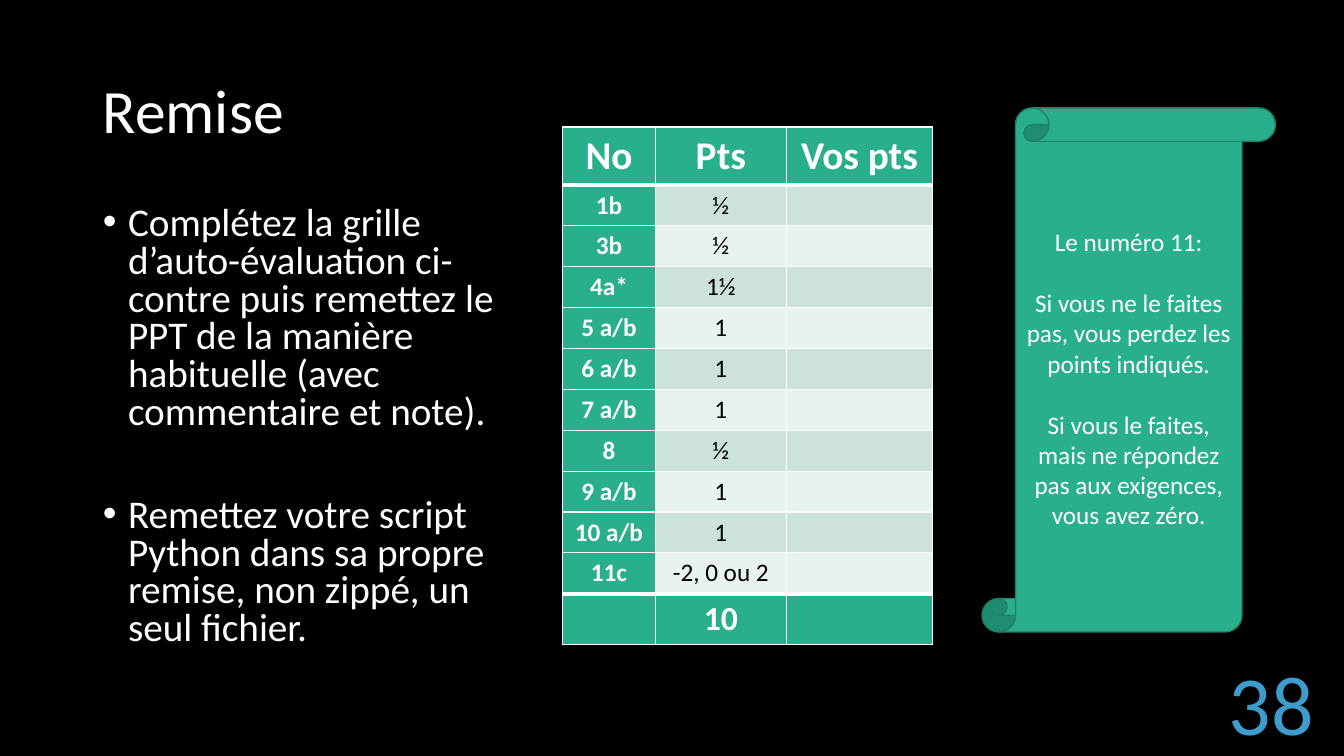
from lxml import etree
from pptx import Presentation, util as u
from pptx.dml.color import RGBColor
from pptx.enum import shapes, text
from pptx.oxml.ns import qn

WIDTH, HEIGHT = u.Inches(13.33), u.Inches(7.5)
FONT = "Calibri"
WHITE, BLACK, GREEN = "FFFFFF", "000000", "29AF8C"
BANDS = ("CDE3DA", "E8F2EE")
LEFT, CENTER, RIGHT = text.PP_ALIGN.LEFT, text.PP_ALIGN.CENTER, text.PP_ALIGN.RIGHT
MIDDLE = text.MSO_ANCHOR.MIDDLE

TASKS = ["Complétez la grille d’auto-évaluation ci-contre puis remettez le PPT "
         "de la manière habituelle (avec commentaire et note).",
         "Remettez votre script Python dans sa propre remise, non zippé, un seul fichier."]
WARNING = ["Le numéro 11:",
           "Si vous ne le faites pas, vous perdez les points indiqués.",
           "Si vous le faites, mais ne répondez pas aux exigences, vous avez zéro."]
GRADES = [("No", "Pts", "Vos pts"), ("1b", "½", ""), ("3b", "½", ""), ("4a*", "1½", ""),
          ("5 a/b", "1", ""), ("6 a/b", "1", ""), ("7 a/b", "1", ""), ("8", "½", ""),
          ("9 a/b", "1", ""), ("10 a/b", "1", ""), ("11c", "-2, 0 ou 2", ""), ("", "10", "")]
TOTAL = len(GRADES) - 1
COLUMN_SHARES = (6.9, 9.75, 10.88)
HEADER_SHARE, ROW_SHARE, TOTAL_SHARE = 7.67, 5.41, 6.7


def paint(fmt, color):
    """Apply a solid hex colour to a fill."""
    fmt.solid()
    fmt.fore_color.rgb = RGBColor.from_string(color)


def box(x, y, w, h):
    """Turn percentages of the slide into left, top, width, height."""
    return [round(size * share / 100) for size, share in
            ((WIDTH, x), (HEIGHT, y), (WIDTH, w), (HEIGHT, h))]


def place(sp, *shares):
    sp.left, sp.top, sp.width, sp.height = box(*shares)


def write(tf, lines, size, color=WHITE, align=LEFT, anchor=None, bold=False, gap=0):
    """Fill a text frame, one paragraph per line, with gap points between them."""
    tf.word_wrap = True
    tf.auto_size = text.MSO_AUTO_SIZE.NONE
    if anchor is not None:
        tf.vertical_anchor = anchor
    for i, line in enumerate(lines):
        p = tf.paragraphs[0] if i == 0 else tf.add_paragraph()
        p.text, p.alignment = line, align
        p.space_before = u.Pt(gap if i else 0)
        p.font.name, p.font.size, p.font.bold = FONT, u.Pt(size), bold
        p.font.color.rgb = RGBColor.from_string(color)


def add_title(s):
    sp = s.shapes.title
    place(sp, 6.9, 5.33, 86.27, 19.33)
    write(sp.text_frame, ["Remise"], 44, anchor=MIDDLE)
    sp.text_frame.paragraphs[0].line_spacing = 0.9


def add_tasks(s):
    sp = s.placeholders[1]
    place(sp, 6.9, 26.67, 31.36, 64.27)
    write(sp.text_frame, TASKS, 28, gap=47)
    sp.text_frame.paragraphs[0].space_before = u.Pt(10)
    for p in sp.text_frame.paragraphs:
        p.line_spacing = 0.8
        pPr = p._p.get_or_add_pPr()
        pPr.set("marL", str(u.Inches(0.25)))
        pPr.set("indent", str(-u.Inches(0.25)))


def add_number(s):
    sp = s.shapes.add_textbox(*box(70.67, 87.73, 27.83, 10.27))
    write(sp.text_frame, ["38"], 60, "3D9CCC", RIGHT, MIDDLE)


def border(cell, row):
    """Draw white borders, heavier under the header and above the total."""
    tcPr = cell._tc.get_or_add_tcPr()
    widths = (1, 1, 3 if row in (1, TOTAL) else 1, 3 if row + 1 in (1, TOTAL) else 1)
    for i, (side, width) in enumerate(zip("LRTB", widths)):
        ln = etree.Element(qn(f"a:ln{side}"), w=str(u.Pt(width)))
        fill = etree.SubElement(ln, qn("a:solidFill"))
        etree.SubElement(fill, qn("a:srgbClr"), val=WHITE)
        tcPr.insert(i, ln)


def add_grades(s):
    shares = box(41.86, 16.8, sum(COLUMN_SHARES), 68.47)
    table = s.shapes.add_table(len(GRADES), len(COLUMN_SHARES), *shares).table
    for column, share in zip(table.columns, COLUMN_SHARES):
        column.width = round(WIDTH * share / 100)
    for r, values in enumerate(GRADES):
        share = {0: HEADER_SHARE, TOTAL: TOTAL_SHARE}.get(r, ROW_SHARE)
        table.rows[r].height = round(HEIGHT * share / 100)
        for c, value in enumerate(values):
            cell = table.cell(r, c)
            strong = c == 0 or r in (0, TOTAL)
            paint(cell.fill, GREEN if strong else BANDS[(r - 1) % 2])
            border(cell, r)
            cell.vertical_anchor = MIDDLE
            if value:
                write(cell.text_frame, [value], {0: 28, TOTAL: 24}.get(r, 18),
                      WHITE if strong else BLACK, CENTER, bold=strong)


def add_scroll(s):
    sp = s.shapes.add_shape(shapes.MSO_SHAPE.VERTICAL_SCROLL, *box(73.07, 14.27, 21.83, 69.33))
    sp.adjustments[0] = 0.114
    sp.shadow.inherit = False
    paint(sp.fill, GREEN)
    paint(sp.line.fill, "1E8168")
    sp.line.width = u.Pt(1)
    write(sp.text_frame, WARNING, 18, align=CENTER, anchor=MIDDLE, gap=22)


def main():
    prs = Presentation()
    prs.slide_width, prs.slide_height = WIDTH, HEIGHT
    s = prs.slides.add_slide(prs.slide_layouts[1])
    paint(s.background.fill, BLACK)
    add_title(s)
    add_tasks(s)
    add_number(s)
    add_grades(s)
    add_scroll(s)
    prs.save("out.pptx")


if __name__ == "__main__":
    main()
